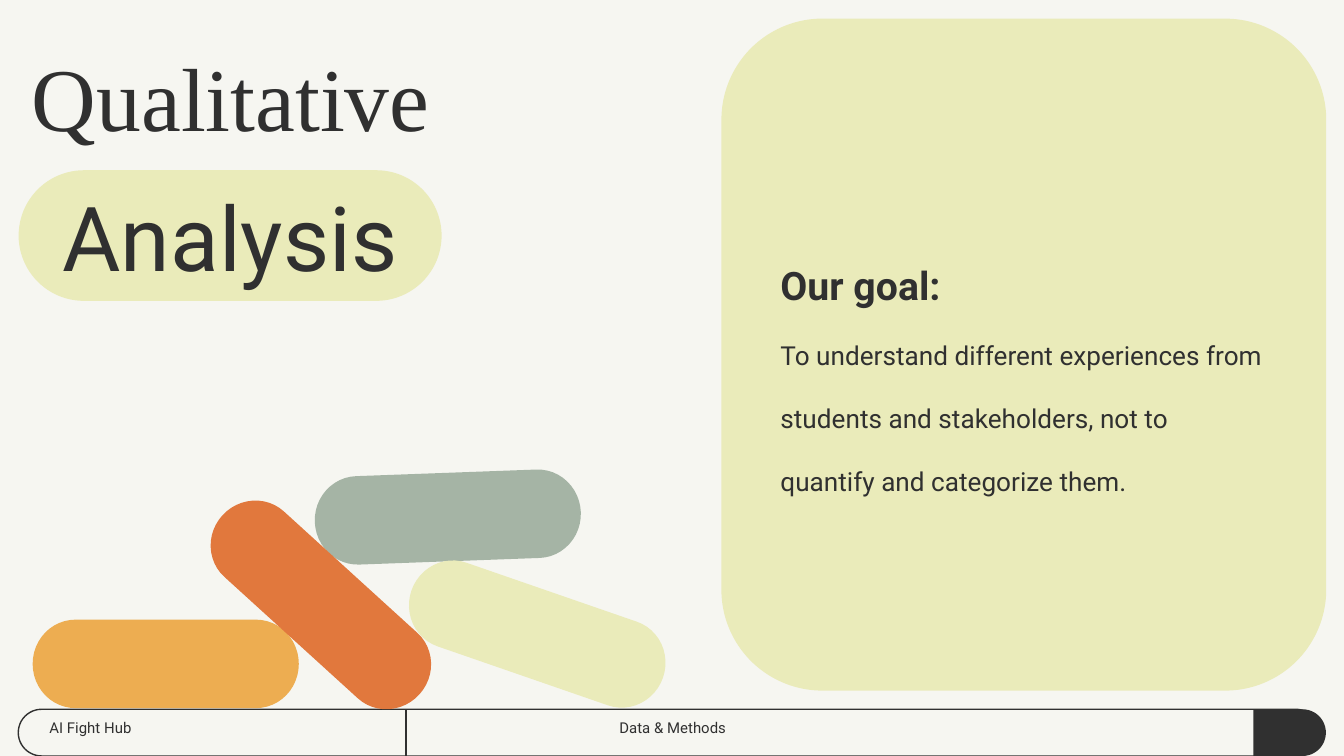
from lxml import etree
from pptx import Presentation
from pptx.dml.color import RGBColor
from pptx.enum import shapes, text
from pptx.oxml.ns import qn
from pptx.util import Pt

INK = RGBColor(0x30, 0x30, 0x30)
PAPER = RGBColor(0xF6, 0xF6, 0xF1)
LIME = RGBColor(0xEA, 0xEB, 0xBA)
SAGE = RGBColor(0xA5, 0xB4, 0xA5)
AMBER = RGBColor(0xED, 0xAD, 0x51)
ORANGE = RGBColor(0xE1, 0x78, 0x3D)

WIDTH, HEIGHT = 720, 405
FOOTER_TOP, FOOTER_HEIGHT = 380, 25
PILL_WIDTH, PILL_HEIGHT = 142.6, 47.4
INSET = 7.2
SANS, SERIF = "Roboto", "Times New Roman"

# Content: a paragraph is (text, size, bold)
TITLE = [("Qualitative", 48, False)]
TITLE_HIGHLIGHT = [("Analysis", 48, False)]
GOAL = [
    ("Our goal:", 21, True),
    ("To understand different experiences from students and stakeholders, "
     "not to quantify and categorize them.", 14, False),
]
FOOTER_LABELS = [  # text, left, width, alignment
    ("AI Fight Hub", 19.4, 173.5, text.PP_ALIGN.LEFT),
    ("Data & Methods", 279.4, 162, text.PP_ALIGN.CENTER),
]
PILLS = [  # left, top, rotation, colour; back to front
    (168.6, 253.3, 357.9, SAGE),
    (216.5, 316, 19.1, LIME),
    (17.5, 332, 0, AMBER),
    (100.6, 300.4, 42.3, ORANGE),
]

presentation = Presentation()
presentation.slide_width, presentation.slide_height = Pt(WIDTH), Pt(HEIGHT)
slide = presentation.slides.add_slide(presentation.slide_layouts[6])
slide.background.fill.solid()
slide.background.fill.fore_color.rgb = PAPER


def add_shape(kind, left, top, width, height, fill=None, line=None,
              adjustments=(), rotation=0):
    shape = slide.shapes.add_shape(kind, Pt(left), Pt(top), Pt(width), Pt(height))
    shape.shadow.inherit = False
    shape.rotation = rotation
    for index, value in enumerate(adjustments):
        shape.adjustments[index] = value
    if fill is None:
        shape.fill.background()
    else:
        shape.fill.solid()
        shape.fill.fore_color.rgb = fill
    if line is None:
        shape.line.fill.background()
    else:
        shape.line.color.rgb = line
        shape.line.width = Pt(0.75)
    return shape


def add_footer_part(left, width, adjustments, **style):
    """Place a two-corner shape turned a quarter, so its top faces right."""
    middle_x, middle_y = left + width / 2, FOOTER_TOP + FOOTER_HEIGHT / 2
    add_shape(shapes.MSO_SHAPE.ROUND_2_SAME_RECTANGLE,
              middle_x - FOOTER_HEIGHT / 2, middle_y - width / 2,
              FOOTER_HEIGHT, width, adjustments=adjustments, rotation=90, **style)


def write(shape, paragraphs, font=SANS, alignment=text.PP_ALIGN.LEFT,
          anchor=text.MSO_ANCHOR.TOP, spacing=None, top_inset=INSET):
    frame = shape.text_frame
    frame.word_wrap = True
    frame.vertical_anchor = anchor
    frame.margin_left = frame.margin_right = frame.margin_bottom = Pt(INSET)
    frame.margin_top = Pt(top_inset)
    frame.text = "\n".join(words for words, _, _ in paragraphs)
    for paragraph, (_, size, bold) in zip(frame.paragraphs, paragraphs):
        paragraph.alignment = alignment
        paragraph.line_spacing = spacing
        for run in paragraph.runs:
            run.font.name, run.font.size, run.font.bold = font, Pt(size), bold
            run.font.color.rgb = INK


def add_text(left, top, width, height, paragraphs, **style):
    box = slide.shapes.add_textbox(Pt(left), Pt(top), Pt(width), Pt(height))
    write(box, paragraphs, **style)


# Footer bar, goal card, divider and dark end cap
add_footer_part(9.8, 697, (0.5, 0.5), line=INK)
add_shape(shapes.MSO_SHAPE.ROUNDED_RECTANGLE, 386.5, 10, 324, 360,
          fill=LIME, adjustments=(0.167,))
divider = slide.shapes.add_connector(shapes.MSO_CONNECTOR.STRAIGHT, Pt(217.5),
                                     Pt(FOOTER_TOP), Pt(217.5), Pt(HEIGHT))
divider.line.color.rgb = INK
divider.line.width = Pt(0.75)
etree.SubElement(divider.element.spPr, qn("a:effectLst"))
add_footer_part(671.4, 38.9, (0.5, 0), fill=INK)

# Stack of pills
for left, top, rotation, colour in PILLS:
    add_shape(shapes.MSO_SHAPE.FLOWCHART_TERMINATOR, left, top,
              PILL_WIDTH, PILL_HEIGHT, fill=colour, rotation=rotation)

# Goal text
add_text(411, 31.7, 275, 317.5, GOAL, anchor=text.MSO_ANCHOR.MIDDLE, spacing=2)

# Two-part title
add_text(10, 10, 361, 70, TITLE, font=SERIF, top_inset=12.3)
highlight = add_shape(shapes.MSO_SHAPE.ROUNDED_RECTANGLE, 10, 91.2, 226.6, 70,
                      fill=LIME, adjustments=(0.5,))
write(highlight, TITLE_HIGHLIGHT, alignment=text.PP_ALIGN.CENTER,
      anchor=text.MSO_ANCHOR.MIDDLE)

# Footer labels
for label, left, width, alignment in FOOTER_LABELS:
    add_text(left, FOOTER_TOP, width, FOOTER_HEIGHT, [(label, 8, False)],
             alignment=alignment)

presentation.save("out.pptx")
